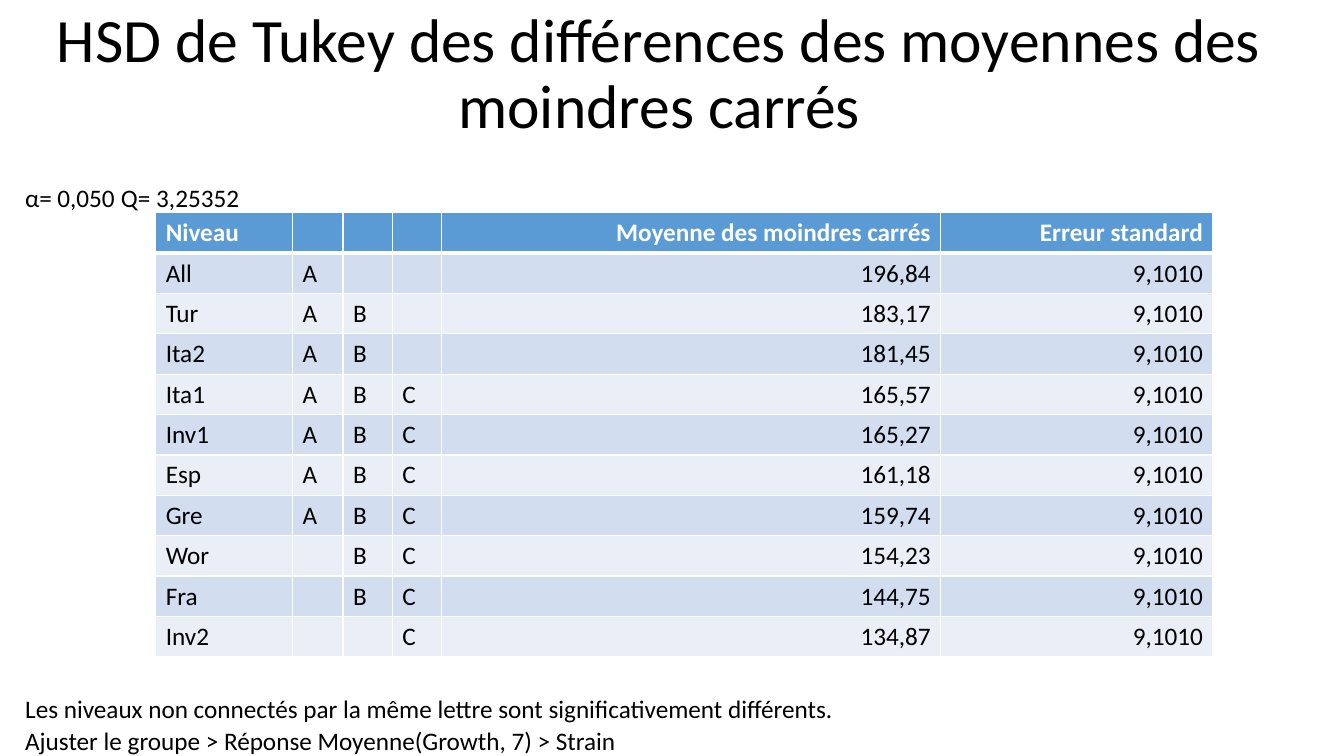
from pptx import Presentation
from pptx.dml.color import RGBColor as Rgb
from pptx.enum.text import MSO_ANCHOR as Anchor, MSO_AUTO_SIZE as Fit, PP_ALIGN as Align
from pptx.oxml import parse_xml
from pptx.oxml.ns import nsdecls
from pptx.util import Pt

BLACK, WHITE, BLUE = "000000", "FFFFFF", "5B9BD5"
BANDS = ["D2DEEF", "EAEFF7"]
LINE = 22.4
COLS = [97.8, 36, 35.3, 34.8, 357, 194.4]
HEAD = ["Niveau", "", "", "", "Moyenne des moindres carrés", "Erreur standard"]
ERROR = "9,1010"
LEVELS = [
    ("All", "A", "196,84"), ("Tur", "AB", "183,17"), ("Ita2", "AB", "181,45"),
    ("Ita1", "ABC", "165,57"), ("Inv1", "ABC", "165,27"), ("Esp", "ABC", "161,18"),
    ("Gre", "ABC", "159,74"), ("Wor", "BC", "154,23"), ("Fra", "BC", "144,75"),
    ("Inv2", "C", "134,87"),
]
STATS = [("α=", 0, 21), ("0,050", 23, 43), ("Q=", 68.4, 23), ("3,25352", 93.6, 62)]
NOTES = [
    ("Les niveaux non connectés par la même lettre sont significativement différents.", 583),
    ("Ajuster le groupe > Réponse Moyenne(Growth, 7) > Strain", 426),
]


def color(code):
    """Turn a hex string into a colour."""
    return Rgb.from_string(code)


def write(frame, text, size=18, ink=BLACK, bold=False, align=Align.LEFT, space=1.0):
    """Put formatted text in a frame."""
    par = frame.paragraphs[0]
    par.alignment = align
    par.line_spacing = space
    par.font.size = Pt(size)
    if text:
        run = par.add_run()
        run.text = text
        font = run.font
        font.name, font.size, font.bold = "Calibri", Pt(size), bold
        font.color.rgb = color(ink)


def label(slide, text, left, top, width):
    """Add one unwrapped line of text without margins."""
    box = slide.shapes.add_textbox(Pt(left), Pt(top), Pt(width), Pt(LINE))
    frame = box.text_frame
    frame.margin_left = frame.margin_top = frame.margin_right = frame.margin_bottom = 0
    frame.word_wrap = False
    frame.auto_size = Fit.SHAPE_TO_FIT_TEXT
    write(frame, text)


def title(slide, left, top, width, height):
    """Fill the title placeholder."""
    shape = slide.shapes.title
    shape.left, shape.top, shape.width, shape.height = map(Pt, (left, top, width, height))
    shape.text_frame.vertical_anchor = Anchor.MIDDLE
    write(shape.text_frame, "HSD de Tukey des différences des moyennes des moindres carrés",
          size=44, align=Align.CENTER, space=0.9)


def stats(slide, left, top):
    """Place the test constants on one line."""
    for text, shift, width in STATS:
        label(slide, text, left + shift, top, width)


def border(cell, side, width):
    """Draw one white edge of a cell."""
    cell._tc.get_or_add_tcPr().append(parse_xml(
        f'<a:{side} {nsdecls("a")} w="{Pt(width)}"><a:solidFill>'
        f'<a:srgbClr val="{WHITE}"/></a:solidFill></a:{side}>'))


def groups(slide, left, top, width, height):
    """Add the table of levels and their connecting letters."""
    rows = [HEAD] + [
        [name, *(c if c in marks else "" for c in "ABC"), mean, ERROR]
        for name, marks, mean in LEVELS
    ]
    table = slide.shapes.add_table(
        len(rows), len(COLS), Pt(left), Pt(top), Pt(width), Pt(height)).table
    for col, size in zip(table.columns, COLS):
        col.width = Pt(size)
    for i, row in enumerate(rows):
        table.rows[i].height = Pt(height / len(rows))
        for j, text in enumerate(row):
            cell = table.cell(i, j)
            for side in ("lnL", "lnR", "lnT", "lnB"):
                thick = (i, side) in ((0, "lnB"), (1, "lnT"))
                border(cell, side, 3 if thick else 1)
            cell.fill.solid()
            cell.fill.fore_color.rgb = color(BANDS[(i - 1) % 2] if i else BLUE)
            write(cell.text_frame, text, ink=BLACK if i else WHITE, bold=i == 0,
                  align=Align.RIGHT if j > 3 else Align.LEFT)


def notes(slide, left, top):
    """Stack the closing remarks."""
    for i, (text, width) in enumerate(NOTES):
        label(slide, text, left, top + i * LINE, width)


def main():
    """Build and save the slide."""
    deck = Presentation()
    deck.slide_width, deck.slide_height = Pt(960), Pt(540)
    slide = deck.slides.add_slide(deck.slide_layouts[5])
    title(slide, 0, 0, 942, 108)
    stats(slide, 18, 130.3)
    groups(slide, 111.2, 152, sum(COLS), 317)
    notes(slide, 18, 495.4)
    deck.save("out.pptx")


if __name__ == "__main__":
    main()
